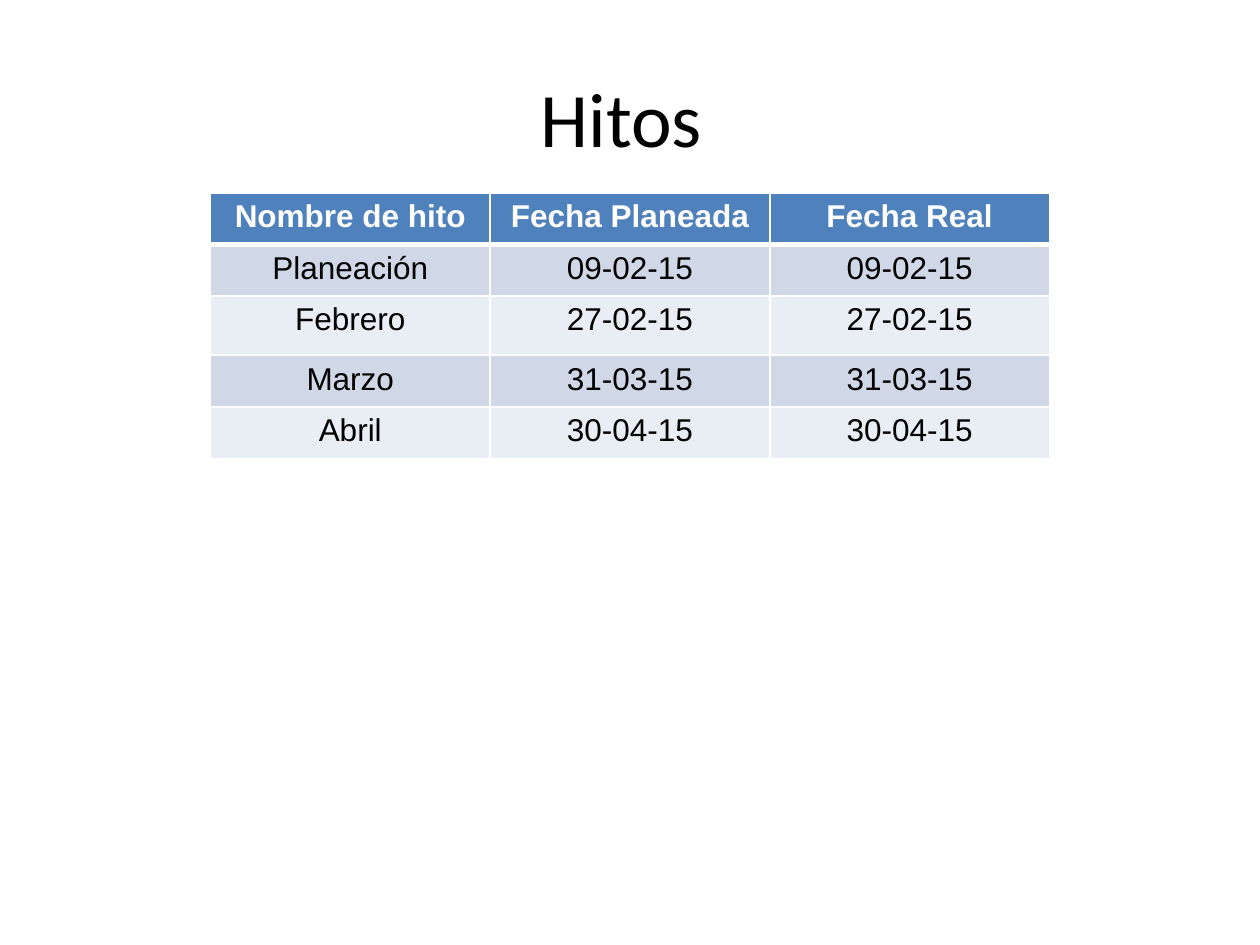
from pptx import Presentation
from pptx.dml.color import RGBColor as RGB
from pptx.enum.text import MSO_ANCHOR as Anchor, PP_ALIGN as Align
from pptx.oxml.ns import qn
from pptx.util import Inches, Pt
from lxml.etree import SubElement as Sub

theme = {
    "head": "4F81BD", "bands": ("D0D8E8", "E9EDF4"),
    "light": "FFFFFF", "dark": "000000",
    "title": {"name": "Calibri", "size": Pt(44)},
    "cell": {"name": "Arial", "size": Pt(18)},
}


def write(frame, text, style, color, bold=False):
    para = frame.paragraphs[0]
    para.alignment = Align.CENTER
    run = para.add_run()
    run.text = text
    for key, value in {**style, "bold": bold}.items():
        setattr(run.font, key, value)
    run.font.color.rgb = RGB.from_string(color)


def edge(cell, side, width):
    line = Sub(cell._tc.get_or_add_tcPr(), qn("a:ln" + side), w=str(Pt(width)))
    Sub(Sub(line, qn("a:solidFill")), qn("a:srgbClr"), val=theme["light"])


deck = Presentation()
deck.slide_width, deck.slide_height = Inches(10), Inches(7.5)
slide = deck.slides.add_slide(deck.slide_layouts[6])

# Title
box = slide.shapes.add_textbox(Inches(0.5), Inches(0.3), Inches(9), Inches(1.25))
frame = box.text_frame
frame.word_wrap = True
frame.vertical_anchor = Anchor.MIDDLE
write(frame, "Hitos ", theme["title"], theme["dark"])

# Milestone table: planned and real dates agree
dates = {"Planeación": "09-02-15", "Febrero": "27-02-15",
         "Marzo": "31-03-15", "Abril": "30-04-15"}
rows = [("Nombre de hito", "Fecha Planeada", "Fecha Real")]
rows += [(name, day, day) for name, day in dates.items()]
highs = (0.41, 0.41, 0.47, 0.41, 0.41)

table = slide.shapes.add_table(
    len(rows), 3, Inches(1.67), Inches(1.53), Inches(6.66), Inches(sum(highs))).table
for col in table.columns:
    col.width = Inches(2.22)

for r, (row, high) in enumerate(zip(rows, highs)):
    table.rows[r].height = Inches(high)
    head = r == 0
    fill = theme["head"] if head else theme["bands"][(r - 1) % 2]
    ink = theme["light"] if head else theme["dark"]
    # The rule under the header is thicker
    edges = {"L": 1, "R": 1, "T": 3 if r == 1 else 1, "B": 3 if head else 1}
    for c, text in enumerate(row):
        cell = table.cell(r, c)
        for side, width in edges.items():
            edge(cell, side, width)
        cell.fill.solid()
        cell.fill.fore_color.rgb = RGB.from_string(fill)
        write(cell.text_frame, text, theme["cell"], ink, head)

deck.save("out.pptx")
